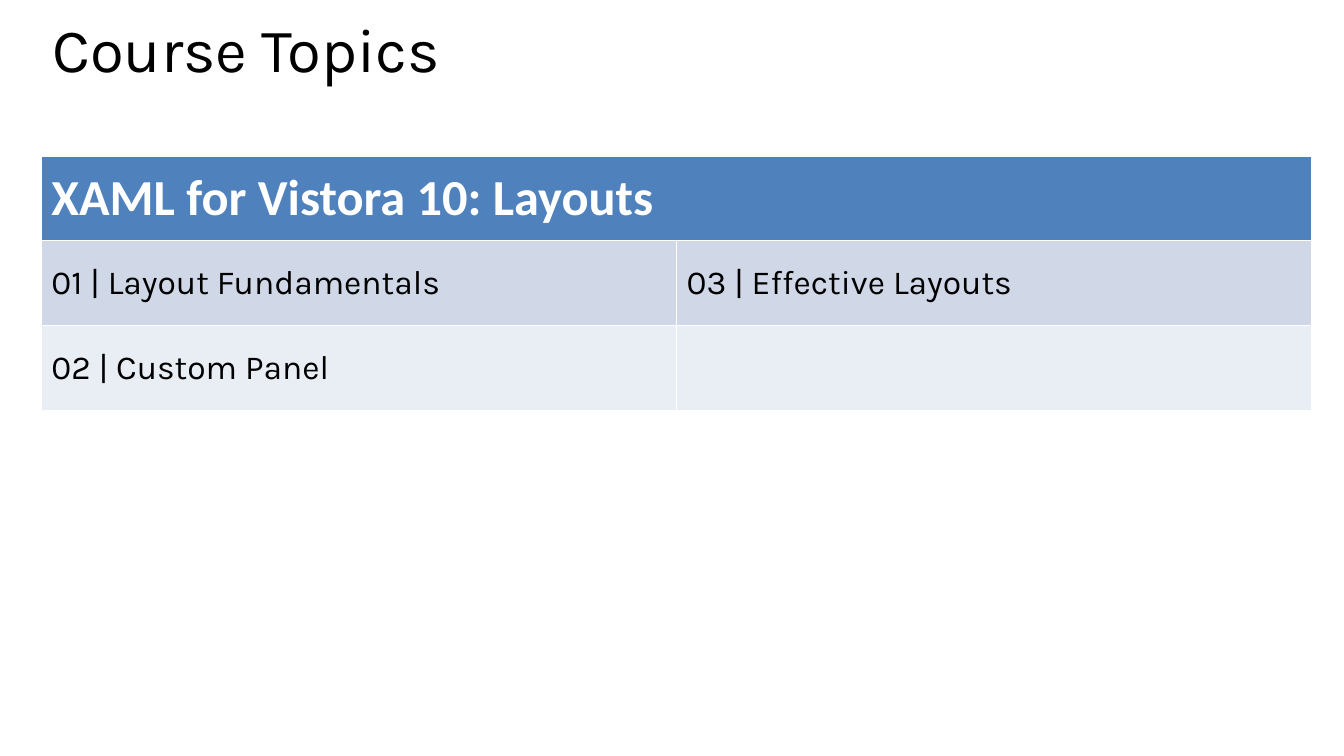
"""Build the course topics slide with its table of layout modules."""
from pptx import Presentation
from pptx.dml.color import RGBColor
from pptx.enum import text
from pptx.util import Inches, Pt

COLORS = {"text": "000000", "header_text": "FFFFFF", "header": "4F81BD",
          "odd": "D0D8E8", "even": "E9EDF4"}


def set_font(p, name, size, color, bold=False):
    p.font.name = name
    p.font.size = Pt(size)
    p.font.bold = bold
    p.font.color.rgb = RGBColor.from_string(COLORS[color])


prs = Presentation()
prs.slide_width, prs.slide_height = Inches(13.33), Inches(7.5)
s = prs.slides.add_slide(prs.slide_layouts[5])

title = s.shapes.title
title.left, title.top = Inches(0.42), Inches(0.2)
title.width, title.height = Inches(12.6), Inches(1.16)
tf = title.text_frame
tf.text = "Course Topics"
tf.vertical_anchor = text.MSO_ANCHOR.TOP
tf.auto_size = text.MSO_AUTO_SIZE.NONE
p = tf.paragraphs[0]
p.alignment = text.PP_ALIGN.LEFT
p.line_spacing = 0.8
set_font(p, "Karla", 44, "text")

rows = [
    ("header", ["XAML for Vistora 10: Layouts", ""]),
    ("odd", ["01 | Layout Fundamentals", "03 | Effective Layouts"]),
    ("even", ["02 | Custom Panel", ""]),
]
table = s.shapes.add_table(len(rows), 2, Inches(0.41), Inches(1.55),
                           Inches(12.6), Inches(2.52)).table
for r, (band, topics) in enumerate(rows):
    for c, topic in enumerate(topics):
        cell = table.cell(r, c)
        cell.text = topic
        cell.vertical_anchor = text.MSO_ANCHOR.MIDDLE
        cell.fill.solid()
        cell.fill.fore_color.rgb = RGBColor.from_string(COLORS[band])
        p = cell.text_frame.paragraphs[0]
        if band == "header":
            set_font(p, "Calibri", 36, "header_text", bold=True)
        else:
            set_font(p, "Karla", 24, "text")
table.cell(0, 0).merge(table.cell(0, 1))

prs.save("out.pptx")
